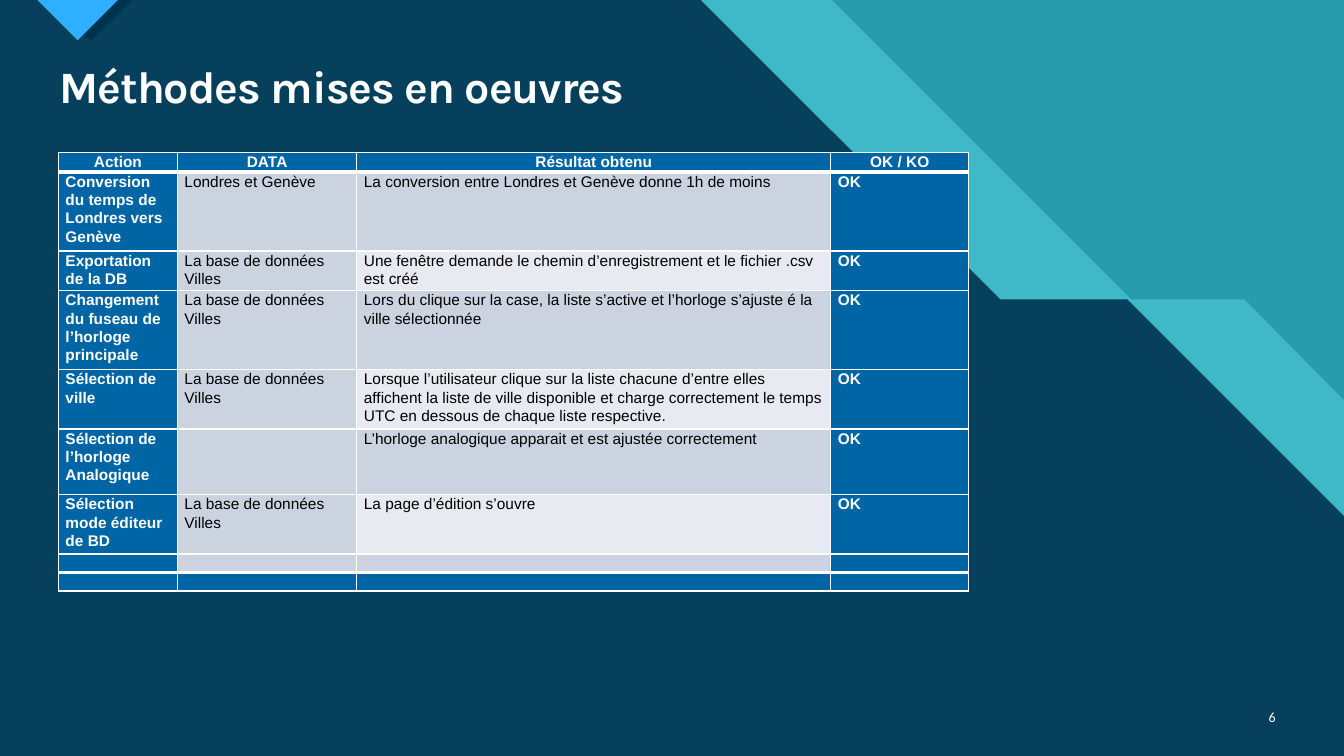
from dataclasses import dataclass

from lxml import etree
from pptx import Presentation
from pptx.dml.color import RGBColor
from pptx.enum.text import MSO_ANCHOR, PP_ALIGN
from pptx.oxml.ns import qn
from pptx.util import Inches, Pt

LEFT, CENTER, RIGHT = PP_ALIGN.LEFT, PP_ALIGN.CENTER, PP_ALIGN.RIGHT
MIDDLE = MSO_ANCHOR.MIDDLE


@dataclass(frozen=True)
class Theme:
    teal: str = "299CAB"
    cyan: str = "47C3D3"
    navy: str = "003352"
    sky: str = "2FAFFF"
    white: str = "FFFFFF"
    black: str = "000000"
    header: str = "0065A4"
    band_dark: str = "CCD3E0"
    band_light: str = "E7EAF0"
    title_font: str = "Karla"
    table_font: str = "Arial"
    number_font: str = "Calibri"
    title_size: int = 32
    table_size: int = 11
    number_size: int = 10


T = Theme()
WIDTH, HEIGHT = 13.33, 7.5

# Backdrop outlines: points, colour, opacity in percent
BACKDROP = [
    ([(0, 0), (8.25, 0), (11.22, 2.97), (12.34, 2.97), (WIDTH, 3.97),
      (WIDTH, HEIGHT), (0, HEIGHT)], T.cyan, 74),
    ([(0, 0), (6.95, 0), (9.92, 2.97), (11.18, 2.97), (WIDTH, 5.12),
      (WIDTH, HEIGHT), (0, HEIGHT)], T.navy, 90),
    ([(0.48, 0), (1.31, 0), (0.9, 0.41)], T.navy, 100),
    ([(0.37, 0), (1.17, 0), (0.77, 0.4)], T.sky, 100),
]

# Test table
COLS = [1.18, 1.78, 4.7, 1.37]
ROW_HEIGHTS = [0.18, 0.78, 0.38, 0.73, 0.55, 0.65, 0.55, 0.18, 0.18]
CITIES = "La base de données Villes"
ROWS = [
    ("Action", "DATA", "Résultat obtenu", "OK / KO"),
    ("Conversion du temps de Londres vers Genève", "Londres et Genève",
     "La conversion entre Londres et Genève donne 1h de moins", "OK"),
    ("Exportation de la DB", CITIES,
     "Une fenêtre demande le chemin d’enregistrement et le fichier .csv est créé",
     "OK"),
    ("Changement du fuseau de l’horloge principale", CITIES,
     "Lors du clique sur la case, la liste s’active et l’horloge s’ajuste é la "
     "ville sélectionnée", "OK"),
    ("Sélection de ville", CITIES,
     "Lorsque l’utilisateur clique sur la liste chacune d’entre elles affichent "
     "la liste de ville disponible et charge correctement le temps UTC en "
     "dessous de chaque liste respective.", "OK"),
    ("Sélection de l’horloge Analogique", "",
     "L’horloge analogique apparait et est ajustée correctement", "OK"),
    ("Sélection mode éditeur de BD", CITIES, "La page d’édition s’ouvre", "OK"),
    ("",) * 4,
    ("",) * 4,
]


def set_attrs(obj, values):
    for name, value in values.items():
        setattr(obj, name, value)


def add_outline(slide, points, color, opacity):
    pts = [(Inches(x), Inches(y)) for x, y in points]
    builder = slide.shapes.build_freeform(*pts[0])
    builder.add_line_segments(pts[1:], close=True)
    sp = builder.convert_to_shape()
    sp.shadow.inherit = False
    sp.line.fill.background()
    sp.fill.solid()
    sp.fill.fore_color.rgb = RGBColor.from_string(color)
    if opacity < 100:
        clr = sp._element.spPr.find(f"{qn('a:solidFill')}/{qn('a:srgbClr')}")
        etree.SubElement(clr, qn("a:alpha"), val=str(opacity * 1000))


def write(p, text, color, font, para):
    set_attrs(p, para)
    r = p.add_run()
    r.text = text
    set_attrs(r.font, font)
    r.font.color.rgb = RGBColor.from_string(color)
    return r


def add_text(slide, box, text, font, para):
    tf = slide.shapes.add_textbox(*map(Inches, box)).text_frame
    set_attrs(tf, {"word_wrap": True, "vertical_anchor": MIDDLE})
    return write(tf.paragraphs[0], text, T.white, font, para)


def set_borders(cell, widths):
    tc_pr = cell._tc.get_or_add_tcPr()
    for i, (side, width) in enumerate(widths.items()):
        ln = etree.Element(qn(f"a:ln{side}"), w=str(Pt(width)))
        fill = etree.SubElement(ln, qn("a:solidFill"))
        etree.SubElement(fill, qn("a:srgbClr"), val=T.white)
        tc_pr.insert(i, ln)


def fill_cell(cell, text, row, col):
    last = len(ROWS) - 1
    strong = row in (0, last) or col in (0, len(COLS) - 1)
    light = col == 2 and row % 2 == 0
    fill = T.header if strong else T.band_light if light else T.band_dark
    cell.fill.solid()
    cell.fill.fore_color.rgb = RGBColor.from_string(fill)
    set_attrs(cell, {"margin_left": Inches(0.07), "margin_right": Inches(0.07),
                     "margin_top": 0, "margin_bottom": 0})
    set_borders(cell, {"L": 1, "R": 1, "T": 3 if row in (1, last) else 1,
                       "B": 3 if row in (0, last - 1) else 1})
    p = cell.text_frame.paragraphs[0]
    if text:
        write(p, text, T.white if strong else T.black,
              {"name": T.table_font, "size": Pt(T.table_size), "bold": strong},
              {"alignment": LEFT if row else CENTER, "line_spacing": 1.07,
               "space_after": Pt(8)})
    else:
        # Keeps empty rows as low as the text rows
        etree.SubElement(p._p, qn("a:endParaRPr"), sz=str(T.table_size * 100))


def add_test_table(slide, left, top):
    table = slide.shapes.add_table(
        len(ROWS), len(COLS), Inches(left), Inches(top),
        Inches(sum(COLS)), Inches(sum(ROW_HEIGHTS))).table
    for column, width in zip(table.columns, COLS):
        column.width = Inches(width)
    for i, (height, texts) in enumerate(zip(ROW_HEIGHTS, ROWS)):
        table.rows[i].height = Inches(height)
        for j, text in enumerate(texts):
            fill_cell(table.cell(i, j), text, i, j)


def main():
    prs = Presentation()
    prs.slide_width, prs.slide_height = Inches(WIDTH), Inches(HEIGHT)
    slide = prs.slides.add_slide(prs.slide_layouts[6])

    # Backdrop
    slide.background.fill.solid()
    slide.background.fill.fore_color.rgb = RGBColor.from_string(T.teal)
    for outline in BACKDROP:
        add_outline(slide, *outline)

    # Title and slide number
    title = add_text(
        slide, (0.49, 0.59, 12.26, 0.59), "Méthodes mises en oeuvres",
        {"name": T.title_font, "size": Pt(T.title_size), "bold": True},
        {"alignment": LEFT, "line_spacing": 0.9})
    title.font._element.set("spc", "-70")
    add_text(slide, (12.31, 6.91, 0.44, 0.4), "6",
             {"name": T.number_font, "size": Pt(T.number_size)},
             {"alignment": RIGHT})

    # Test results
    add_test_table(slide, 0.58, 1.51)
    prs.save("out.pptx")


main()
